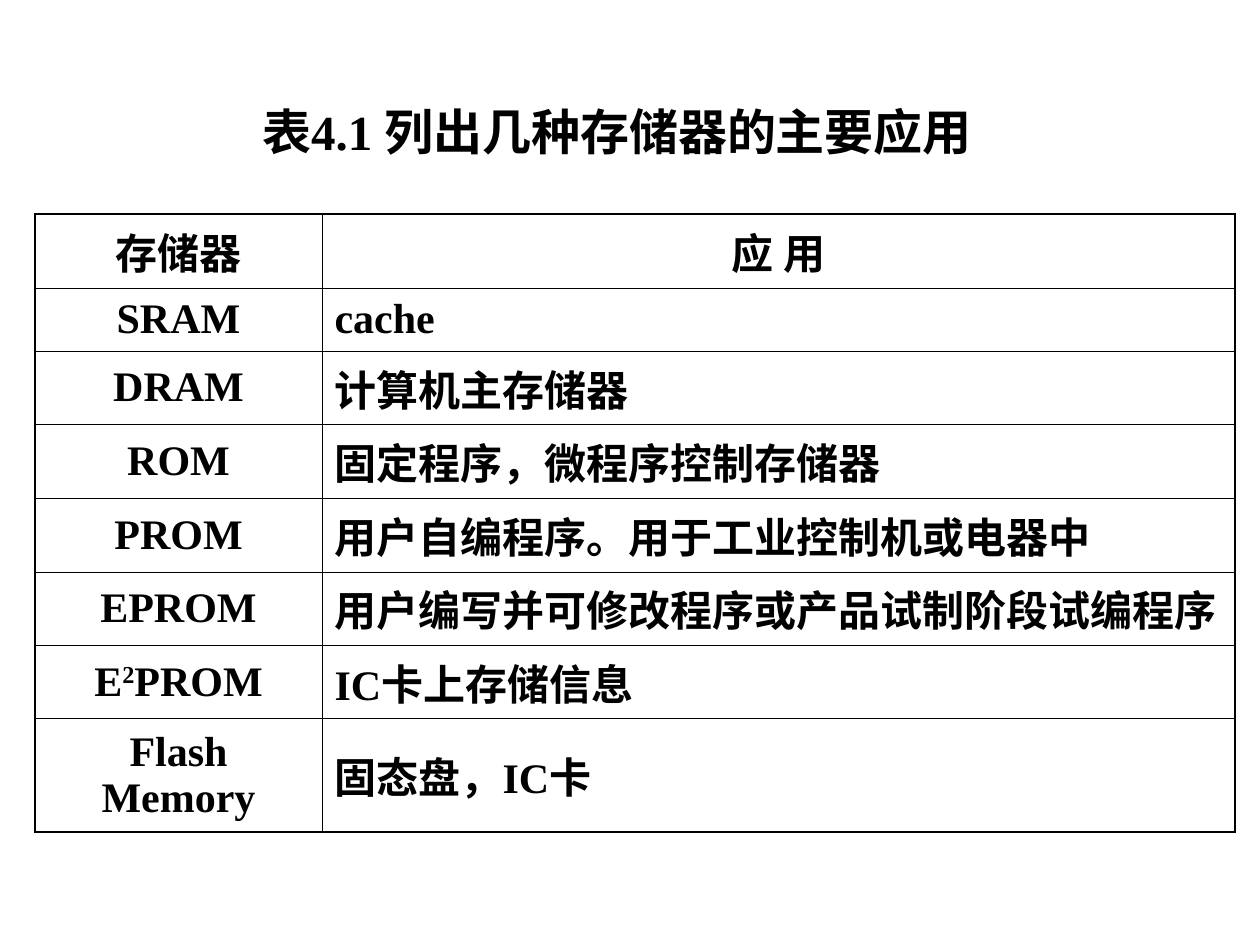
from dataclasses import dataclass

from lxml.etree import SubElement
from pptx import Presentation
from pptx.dml.color import RGBColor
from pptx.enum.text import MSO_ANCHOR, PP_ALIGN
from pptx.oxml.ns import qn
from pptx.util import Emu, Pt

EMU_PER_PX = 914400 / 126


@dataclass(frozen=True)
class Theme:
    font: str = "Times New Roman"
    ink: str = "000000"
    title_size: int = 28
    cell_size: int = 24
    outer_line: float = 1.08
    inner_line: float = 0.45


THEME = Theme()

TITLE = "表4.1 列出几种存储器的主要应用 "
HEADER = ("存储器", "应 用")
MEMORY_USES = [
    ("SRAM", "cache"),
    ("DRAM", "计算机主存储器"),
    ("ROM", "固定程序，微程序控制存储器"),
    ("PROM", "用户自编程序。用于工业控制机或电器中"),
    ("EPROM", "用户编写并可修改程序或产品试制阶段试编程序"),
    ("E^2^PROM", "IC卡上存储信息"),
    ("Flash Memory", "固态盘，IC卡"),
]
COLUMN_WIDTHS = (287, 913)
ROW_HEIGHTS = (74, 63, 73, 74, 74, 73, 74, 74)


def px(length):
    return Emu(round(length * EMU_PER_PX))


def add_runs(paragraph, text, size):
    """Add bold runs; a part between two ^ marks is superscript."""
    for index, part in enumerate(text.split("^")):
        run = paragraph.add_run()
        run.text = part
        font = run.font
        font.name = THEME.font
        font.size = Pt(size)
        font.bold = True
        font.color.rgb = RGBColor.from_string(THEME.ink)
        if index % 2:
            font._element.set("baseline", "30000")


def add_title(slide, left, top, width, height):
    frame = slide.shapes.add_textbox(px(left), px(top), px(width), px(height)).text_frame
    frame.word_wrap = True
    paragraph = frame.paragraphs[0]
    paragraph.alignment = PP_ALIGN.CENTER
    add_runs(paragraph, TITLE, THEME.title_size)


def set_borders(cell, outer_sides):
    """Rule all four sides, heavier on those at the edge of the table."""
    properties = cell._tc.get_or_add_tcPr()
    for position, side in enumerate("LRTB"):
        width = THEME.outer_line if side in outer_sides else THEME.inner_line
        line = SubElement(properties, qn(f"a:ln{side}"), w=str(Pt(width)))
        fill = SubElement(line, qn("a:solidFill"))
        SubElement(fill, qn("a:srgbClr"), val=THEME.ink)
        properties.insert(position, line)


def fill_cell(cell, text, alignment, outer_sides):
    cell.fill.background()
    cell.vertical_anchor = MSO_ANCHOR.MIDDLE
    paragraph = cell.text_frame.paragraphs[0]
    paragraph.alignment = alignment
    add_runs(paragraph, text, THEME.cell_size)
    set_borders(cell, outer_sides)


def add_memory_table(slide, left, top):
    rows = [HEADER, *MEMORY_USES]
    last_row = len(rows) - 1
    table = slide.shapes.add_table(
        len(rows), len(HEADER), px(left), px(top),
        px(sum(COLUMN_WIDTHS)), px(sum(ROW_HEIGHTS)),
    ).table
    table.first_row = False
    table.horz_banding = False
    for column, width in zip(table.columns, COLUMN_WIDTHS):
        column.width = px(width)
    for row_index, (texts, height) in enumerate(zip(rows, ROW_HEIGHTS)):
        table.rows[row_index].height = px(height)
        for column_index, text in enumerate(texts):
            centred = row_index == 0 or column_index == 0
            outer_sides = "LR"[column_index]
            if row_index == 0:
                outer_sides += "T"
            if row_index == last_row:
                outer_sides += "B"
            fill_cell(
                table.cell(row_index, column_index), text,
                PP_ALIGN.CENTER if centred else PP_ALIGN.LEFT, outer_sides,
            )


def main():
    presentation = Presentation()
    presentation.slide_width = px(1260)
    presentation.slide_height = px(945)
    slide = presentation.slides.add_slide(presentation.slide_layouts[6])
    add_title(slide, 45, 95, 1155, 81)
    add_memory_table(slide, 35, 214)
    presentation.save("out.pptx")


if __name__ == "__main__":
    main()
